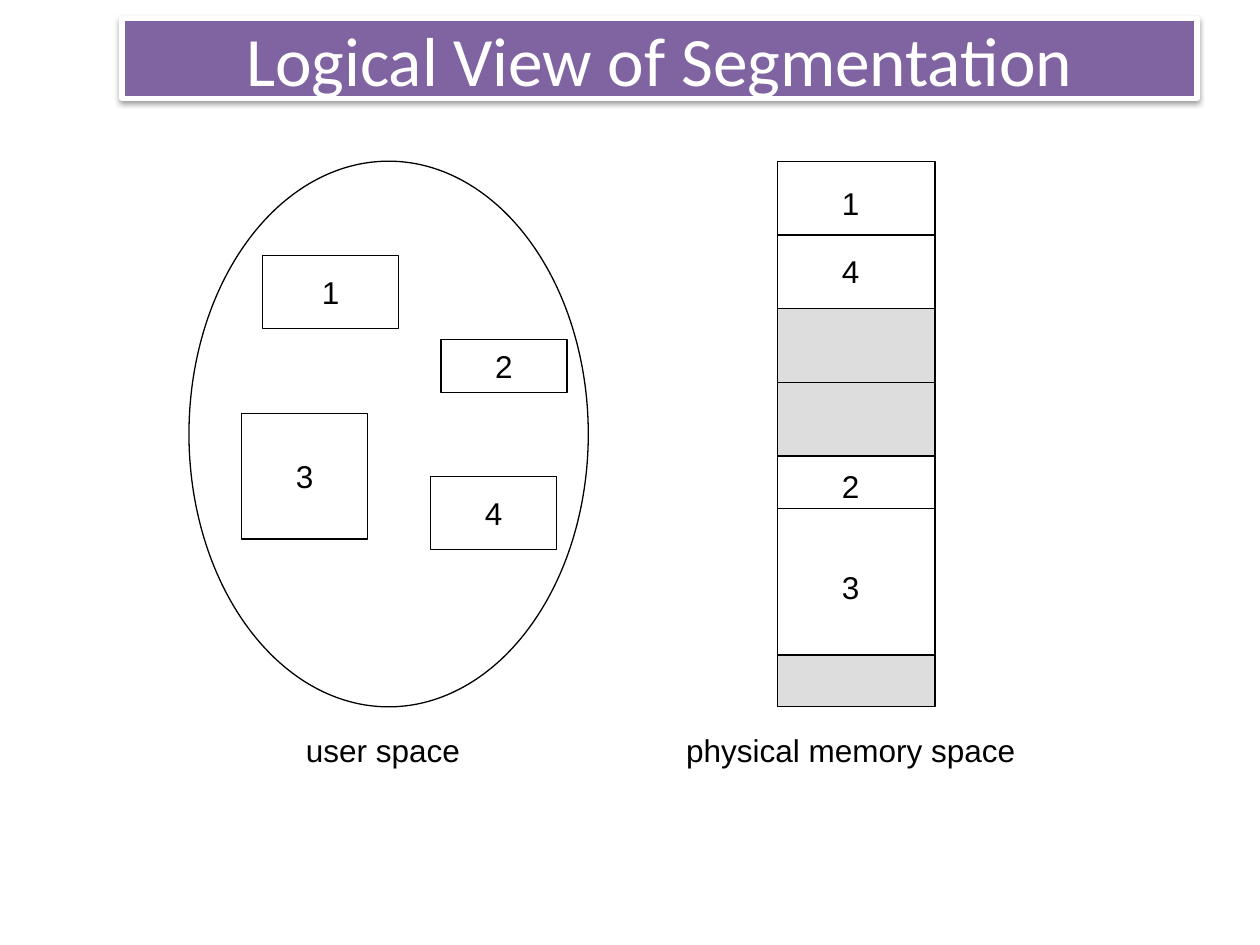
from lxml import etree
from pptx import Presentation
from pptx import util as u
from pptx.dml.color import RGBColor
from pptx.enum import shapes, text
from pptx.oxml import parse_xml
from pptx.oxml.ns import nsdecls, qn

Cm, Pt = u.Cm, u.Pt
BLACK = RGBColor(0x00, 0x00, 0x00)
WHITE = RGBColor(0xFF, 0xFF, 0xFF)
GREY = RGBColor(0xDD, 0xDD, 0xDD)
PURPLE = RGBColor(0x80, 0x64, 0xA2)

TITLE_SHADOW = f"""<a:effectLst {nsdecls('a')}>
  <a:outerShdw blurRad="39370" dist="20320" dir="5400000" rotWithShape="0">
    <a:srgbClr val="000000"><a:alpha val="38000"/></a:srgbClr>
  </a:outerShdw>
</a:effectLst>"""


def write(shape, words, size=18, font="Arial", color=BLACK, wrap=False):
    """Put one centred line of text in the middle of a shape."""
    frame = shape.text_frame
    frame.text = words
    frame.word_wrap = wrap
    frame.auto_size = text.MSO_AUTO_SIZE.NONE
    frame.vertical_anchor = text.MSO_ANCHOR.MIDDLE
    paragraph = frame.paragraphs[0]
    paragraph.alignment = text.PP_ALIGN.CENTER
    run_font = paragraph.runs[0].font
    run_font.size, run_font.name = Pt(size), font
    run_font.color.rgb = color


def paint(shape, fill, line=BLACK, width=0.75):
    shape.fill.solid()
    shape.fill.fore_color.rgb = fill
    shape.line.color.rgb = line
    shape.line.width = Pt(width)


def add_outline(slide, kind, left, top, width, height, fill=WHITE):
    shape = slide.shapes.add_shape(kind, Cm(left), Cm(top), Cm(width), Cm(height))
    shape.shadow.inherit = False
    paint(shape, fill)
    return shape


def add_label(slide, words, center_x, center_y, width=0.86, height=1.02):
    box = slide.shapes.add_textbox(Cm(center_x - width / 2), Cm(center_y - height / 2),
                                   Cm(width), Cm(height))
    write(box, words)


def add_divider(slide, left, right, y):
    line = slide.shapes.add_connector(shapes.MSO_CONNECTOR.STRAIGHT,
                                      Cm(left), Cm(y), Cm(right), Cm(y))
    line.line.color.rgb = BLACK
    line.line.width = Pt(0.75)
    etree.SubElement(line._element.spPr, qn("a:effectLst"))


def format_title(slide, left, top, width, height):
    title = slide.shapes.title
    title.left, title.top = Cm(left), Cm(top)
    title.width, title.height = Cm(width), Cm(height)
    write(title, "Logical View of Segmentation", 39.6, "Calibri", WHITE, wrap=True)
    paint(title, PURPLE, WHITE, 3)
    title._element.spPr.append(parse_xml(TITLE_SHADOW))


def add_user_space(slide, left, top, width, height):
    add_outline(slide, shapes.MSO_SHAPE.OVAL, left, top, width, height)
    # Segments: name, offset in the ellipse's box, size
    segments = [("1", 1.48, 1.9, 2.75, 1.48),
                ("3", 1.06, 5.08, 2.54, 2.54),
                ("2", 5.08, 3.6, 2.54, 1.06),
                ("4", 4.87, 6.35, 2.54, 1.48)]
    for name, x, y, segment_width, segment_height in segments:
        segment = add_outline(slide, shapes.MSO_SHAPE.RECTANGLE, left + x, top + y,
                              segment_width, segment_height)
        write(segment, name)
    # Caption
    add_label(slide, "user space ", left + 3.55 + 0.45, top + height + 0.86, 3.84)


def add_physical_memory(slide, left, top, width, height):
    # Blocks from top to bottom: share of the height, fill, divider in the block
    blocks = [(0.27, WHITE, 0.5), (0.27, GREY, 0.5),
              (0.365, WHITE, 0.265), (0.095, GREY, None)]
    y = top
    for share, fill, split in blocks:
        block_height = share * height
        add_outline(slide, shapes.MSO_SHAPE.RECTANGLE, left, y, width, block_height, fill)
        if split:
            add_divider(slide, left, left + width, y + split * block_height)
        y += block_height
    # Segment numbers, by the height of their centres
    for name, center in [("1", 0.84), ("4", 2.21), ("2", 6.55), ("3", 8.59)]:
        add_label(slide, name, left + 1.48, top + center)
    # Caption
    add_label(slide, "physical memory space", left + 1.48, top + height + 0.86, 7.21)


def main():
    presentation = Presentation()
    presentation.slide_width, presentation.slide_height = Cm(25.4), Cm(19.05)
    slide = presentation.slides.add_slide(presentation.slide_layouts[5])
    format_title(slide, 2.46, 0.38, 21.67, 1.6)
    add_user_space(slide, 3.81, 3.25, 8.05, 11)
    add_physical_memory(slide, 15.67, 3.25, 3.18, 11)
    presentation.save("out.pptx")


if __name__ == "__main__":
    main()
